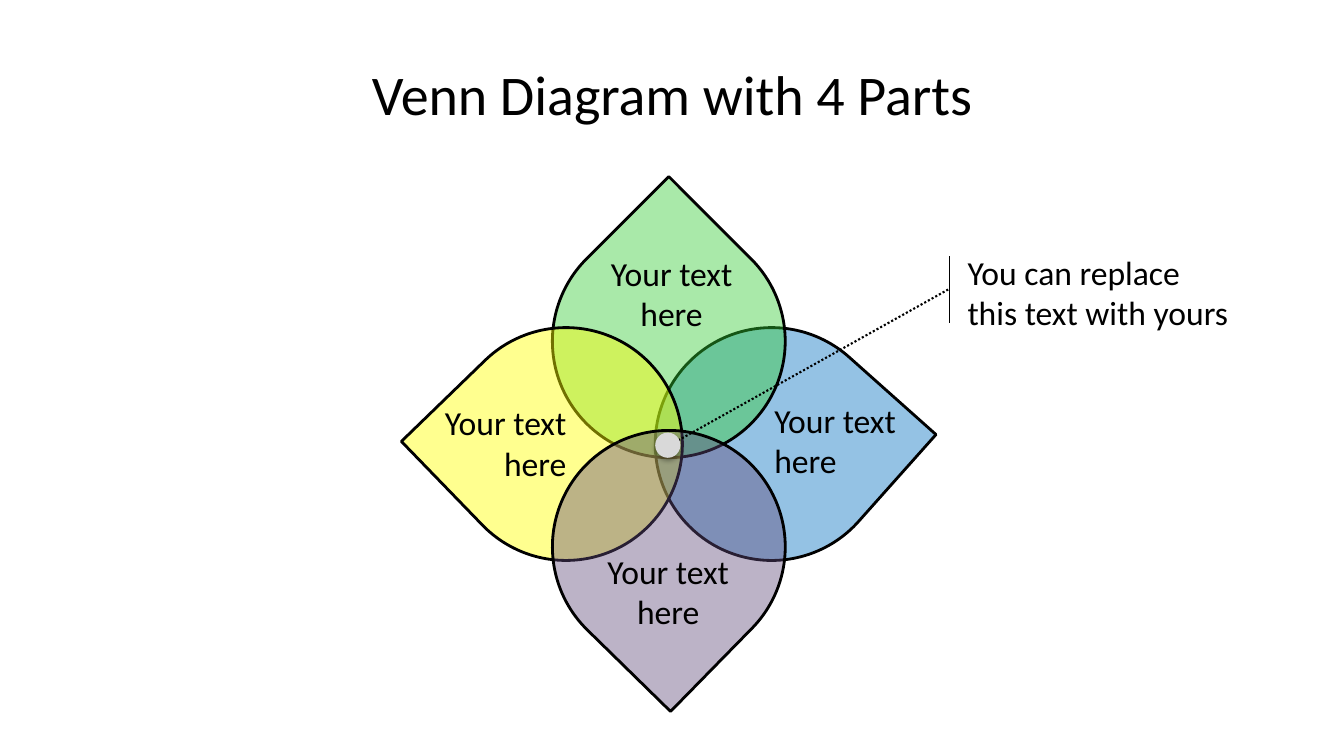
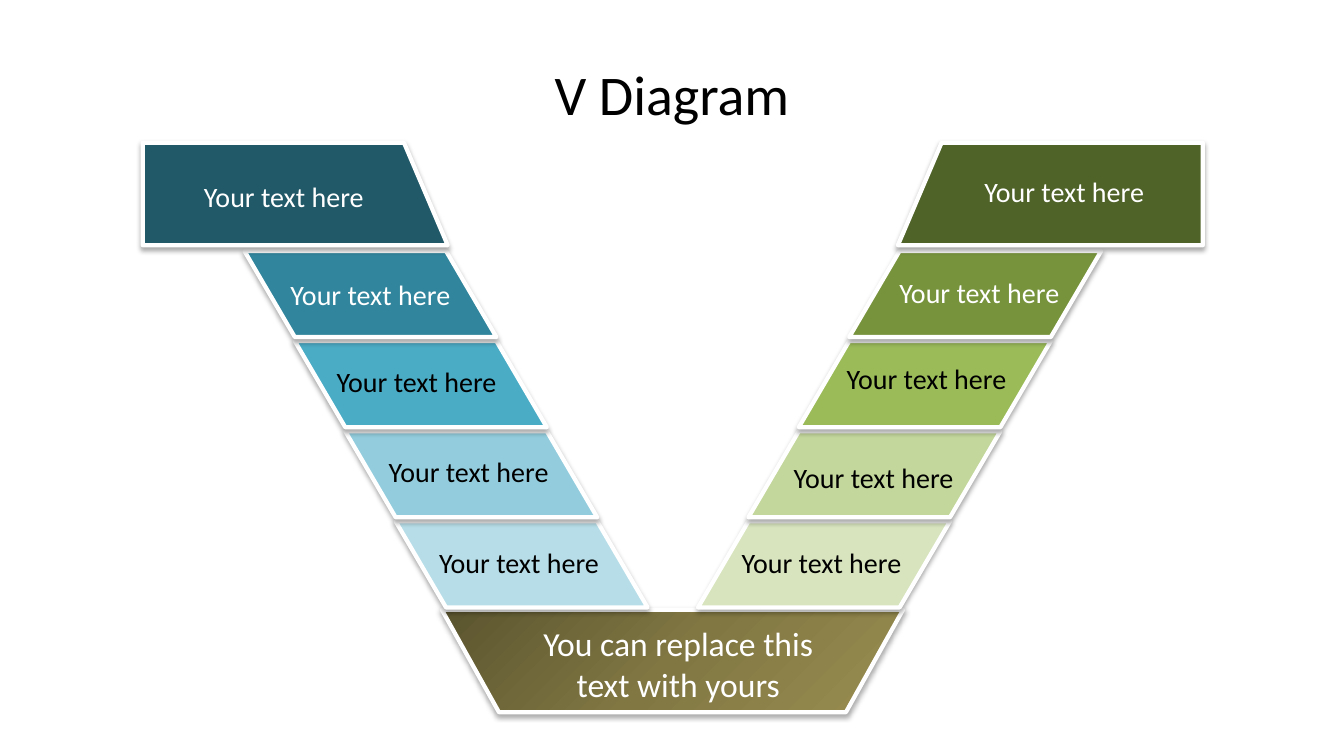
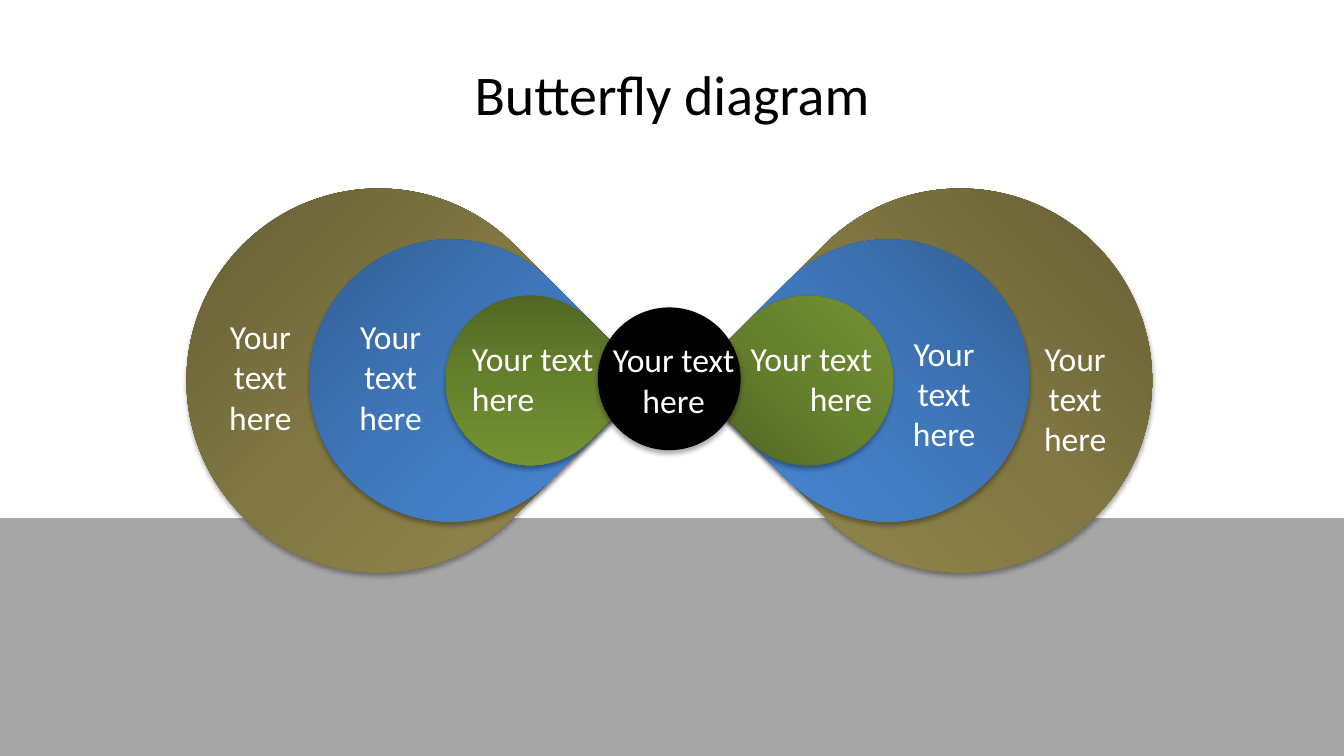
from lxml.etree import SubElement
from pptx import Presentation
from pptx.dml.color import RGBColor
from pptx.enum.dml import MSO_LINE
from pptx.enum.shapes import MSO_CONNECTOR, MSO_SHAPE
from pptx.enum.text import MSO_ANCHOR, PP_ALIGN
from pptx.oxml.ns import qn
from pptx.util import Inches, Pt

# Grid: 160 columns by 90 rows, twelve to the inch
COLS, ROWS = 160, 90
CELL = Inches(1) // 12

FONT = "Calibri"
LABEL = "Your text here"
PROMPT = "You can replace this text with yours"
LEFT, MID, RIGHT = PP_ALIGN.LEFT, PP_ALIGN.CENTER, PP_ALIGN.RIGHT

BLACK = RGBColor(0, 0, 0)
WHITE = RGBColor(255, 255, 255)
SILVER = RGBColor(0xD9, 0xD9, 0xD9)
GRAY = RGBColor(0xA6, 0xA6, 0xA6)
BLUE = RGBColor(0x00, 0x70, 0xC0)
GREEN = RGBColor(0x33, 0xCC, 0x33)
YELLOW = RGBColor(0xFF, 0xFF, 0x00)
PURPLE = RGBColor(0x60, 0x4A, 0x7B)

# Shades from the bottom band up to the cap
TEALS = [RGBColor(0xB7, 0xDE, 0xE8), RGBColor(0x93, 0xCD, 0xDD),
         RGBColor(0x4B, 0xAC, 0xC6), RGBColor(0x31, 0x85, 0x9C),
         RGBColor(0x21, 0x59, 0x68)]
LIMES = [RGBColor(0xD7, 0xE4, 0xBD), RGBColor(0xC3, 0xD6, 0x9B),
         RGBColor(0x9B, 0xBB, 0x59), RGBColor(0x77, 0x93, 0x3C),
         RGBColor(0x4F, 0x62, 0x28)]

# Gradient stops, dark to light
OLIVE = [RGBColor(0x5A, 0x54, 0x2F), RGBColor(0x81, 0x77, 0x43),
         RGBColor(0x99, 0x8D, 0x4F)]
AZURE = [RGBColor(0x2D, 0x54, 0x84), RGBColor(0x3F, 0x77, 0xBB),
         RGBColor(0x4B, 0x8D, 0xDE)]
MOSS = [RGBColor(0x48, 0x5B, 0x20), RGBColor(0x66, 0x81, 0x2D),
        RGBColor(0x79, 0x99, 0x36)]


def grid(*cells):
    return [round(cell * CELL) for cell in cells]


class Deck:
    def __init__(self):
        self.show = Presentation()
        self.show.slide_width, self.show.slide_height = grid(COLS, ROWS)

    def page(self, title):
        self.slide = self.show.slides.add_slide(self.show.slide_layouts[6])
        self.shapes = self.slide.shapes
        box = self.text(title, 8, 3.6, 144, 15, size=40)
        box.text_frame.vertical_anchor = MSO_ANCHOR.MIDDLE

    def text(self, words, x, y, wide, high, align=MID, size=24, color=BLACK):
        box = self.shapes.add_textbox(*grid(x, y, wide, high))
        frame = box.text_frame
        frame.word_wrap = True
        frame.text = words
        para = frame.paragraphs[0]
        para.alignment = align
        font = para.runs[0].font
        font.name, font.size, font.color.rgb = FONT, Pt(size), color
        return box

    def shape(self, kind, x, y, wide, high, turn=0, flip=False, **style):
        item = self.shapes.add_shape(kind, *grid(x, y, wide, high))
        item.rotation = turn
        if flip:
            item.element.spPr.find(qn("a:xfrm")).set("flipH", "1")
        self.paint(item, **style)

    def round(self, kind, x, y, size, **style):
        """Place a square shape by its centre."""
        self.shape(kind, x - size / 2, y - size / 2, size, size, **style)

    def poly(self, points, **style):
        spots = [grid(*point) for point in points]
        pen = self.shapes.build_freeform(*spots[0])
        pen.add_line_segments(spots[1:], close=True)
        self.paint(pen.convert_to_shape(), **style)

    def line(self, start, end, width, dash=None):
        rule = self.shapes.add_connector(
            MSO_CONNECTOR.STRAIGHT, *grid(*start, *end))
        rule.line.color.rgb, rule.line.width = BLACK, Pt(width)
        if dash:
            rule.line.dash_style = dash
        SubElement(rule.element.spPr, qn("a:effectLst"))

    def paint(self, item, fill, alpha=None, angle=0, line=None, width=0,
              shade=False):
        prop = item.element.spPr
        if isinstance(fill, list):
            self.blend(item, fill, angle)
        else:
            item.fill.solid()
            item.fill.fore_color.rgb = fill
            if alpha:
                tone = prop.find(qn("a:solidFill"))[0]
                SubElement(tone, qn("a:alpha"), val=str(alpha * 1000))
        if line is None:
            item.line.fill.background()
        else:
            item.line.color.rgb, item.line.width = line, Pt(width)
        item.shadow.inherit = False
        if shade:
            cast = SubElement(
                prop.find(qn("a:effectLst")), qn("a:outerShdw"),
                blurRad=str(Pt(3.5)), dist=str(Pt(2.2)), dir="5400000",
                rotWithShape="0")
            tone = SubElement(cast, qn("a:srgbClr"), val=str(BLACK))
            SubElement(tone, qn("a:alpha"), val="32000")

    def blend(self, item, tones, angle):
        item.fill.gradient()
        grad = item.element.spPr.find(qn("a:gradFill"))
        stops = grad.find(qn("a:gsLst"))
        for old in list(stops):
            stops.remove(old)
        for place, tone in zip((0, 50000, 100000), tones):
            stop = SubElement(stops, qn("a:gs"), pos=str(place))
            SubElement(stop, qn("a:srgbClr"), val=str(tone))
        grad.find(qn("a:lin")).set("ang", str(angle * 60000))


def venn(deck):
    deck.page("Venn Diagram with 4 Parts")
    # Four petals around a centre: direction, turn, colour, label
    mid_x, mid_y, reach = 79.62, 52.86, 12.24
    petals = [(1, 0, 41.7, BLUE, 42, 91, 47, LEFT),
              (0, -1, 315, GREEN, 42, 70.4, 29.5, MID),
              (-1, 0, 225.9, YELLOW, 44, 49.5, 47.3, RIGHT),
              (0, 1, 134.4, PURPLE, 42, 70, 65, MID)]
    for dx, dy, turn, color, alpha, x, y, align in petals:
        deck.round(MSO_SHAPE.TEAR, mid_x + dx * reach, mid_y + dy * reach,
                   27.72, turn=turn, fill=color, alpha=alpha,
                   line=BLACK, width=2)
        deck.text(LABEL, x, y, 19.1, 10.9, align)
    # Callout
    deck.text(PROMPT, 114, 29.4, 34, 10.9, LEFT)
    deck.line((79, 53.4), (113, 34.4), 1.5, MSO_LINE.ROUND_DOT)
    deck.shape(MSO_SHAPE.OVAL, 78, 51.5, 3, 3, fill=SILVER, shade=True)
    deck.line((113, 30.5), (113, 38.4), 0.75)


def vee(deck):
    deck.page("V Diagram")
    edge = {"line": WHITE, "width": 3, "shade": True}
    # Base
    deck.poly([(52.6, 72.6), (107.5, 72.6), (100.7, 84.8), (59.4, 84.8)],
              fill=OLIVE, angle=45, **edge)
    deck.text(PROMPT, 61.9, 73.6, 37.7, 10.9, color=WHITE)
    # Outlines of the left arm, bottom band first and cap last
    arm = []
    for row in (3, 2, 1, 0):
        x, y = 29.1 + 6 * row, 29.88 + 10.73 * row
        arm.append([(x, y), (x + 24, y), (x + 30, y + 10.25),
                    (x + 6, y + 10.25)])
    arm.append([(17, 17), (48.1, 17), (53.3, 29.2), (17, 29.2)])
    # Label centres and tops for each arm
    limes = [(97.8, 64.4), (104, 54.2), (110.3, 42.4), (116.6, 32.2),
             (126.7, 20.2)]
    teals = [(61.8, 64.3), (55.8, 53.5), (49.6, 42.8), (44.1, 32.4),
             (33.8, 20.8)]
    inks = [BLACK] * 3 + [WHITE] * 2
    for fills, spots, flip in ((LIMES, limes, True), (TEALS, teals, False)):
        for points, fill, (x, y), ink in zip(arm, fills, spots, inks):
            if flip:
                points = [(160.2 - px, py) for px, py in points]
            deck.poly(points, fill=fill, **edge)
            deck.text(LABEL, x - 12.5, y, 25, 5.3, size=20, color=ink)


def wings(deck):
    deck.page("Butterfly diagram")
    deck.shape(MSO_SHAPE.RECTANGLE, 0, 61.7, COLS, ROWS - 61.7, fill=GRAY)
    mid_x, mid_y = 79.68, 45.3
    # Rings from the outside in: offset, size, colours
    rings = [(34.62, 45.72, OLIVE), (26.04, 33.6, AZURE),
             (16.56, 20.16, MOSS)]
    # Per ring: gradient angle, then label place, size and alignment
    east = [(0, 121, 39.6, 14, 15.7, MID), (0, 106.9, 39, 11, 15.7, MID),
            (180, 84, 39.6, 21, 10.9, RIGHT)]
    west = [(0, 25, 37, 12, 15.7, MID), (0, 40, 37, 13, 15.7, MID),
            (45, 55, 39.6, 21, 10.9, LEFT)]
    for side, turn, labels in ((1, 315, east), (-1, 45, west)):
        for (gap, size, tones), (angle, *place) in zip(rings, labels):
            deck.round(MSO_SHAPE.TEAR, mid_x + side * gap, mid_y, size,
                       turn=turn, flip=side > 0, fill=tones, angle=angle,
                       shade=True)
            deck.text(LABEL, *place, color=WHITE)
    # Hub
    deck.round(MSO_SHAPE.OVAL, mid_x, 45.1, 17, fill=BLACK, shade=True)
    deck.text(LABEL, 69.7, 39.8, 21, 10.9, color=WHITE)


def main():
    deck = Deck()
    venn(deck)
    vee(deck)
    wings(deck)
    deck.show.save("out.pptx")


if __name__ == "__main__":
    main()
